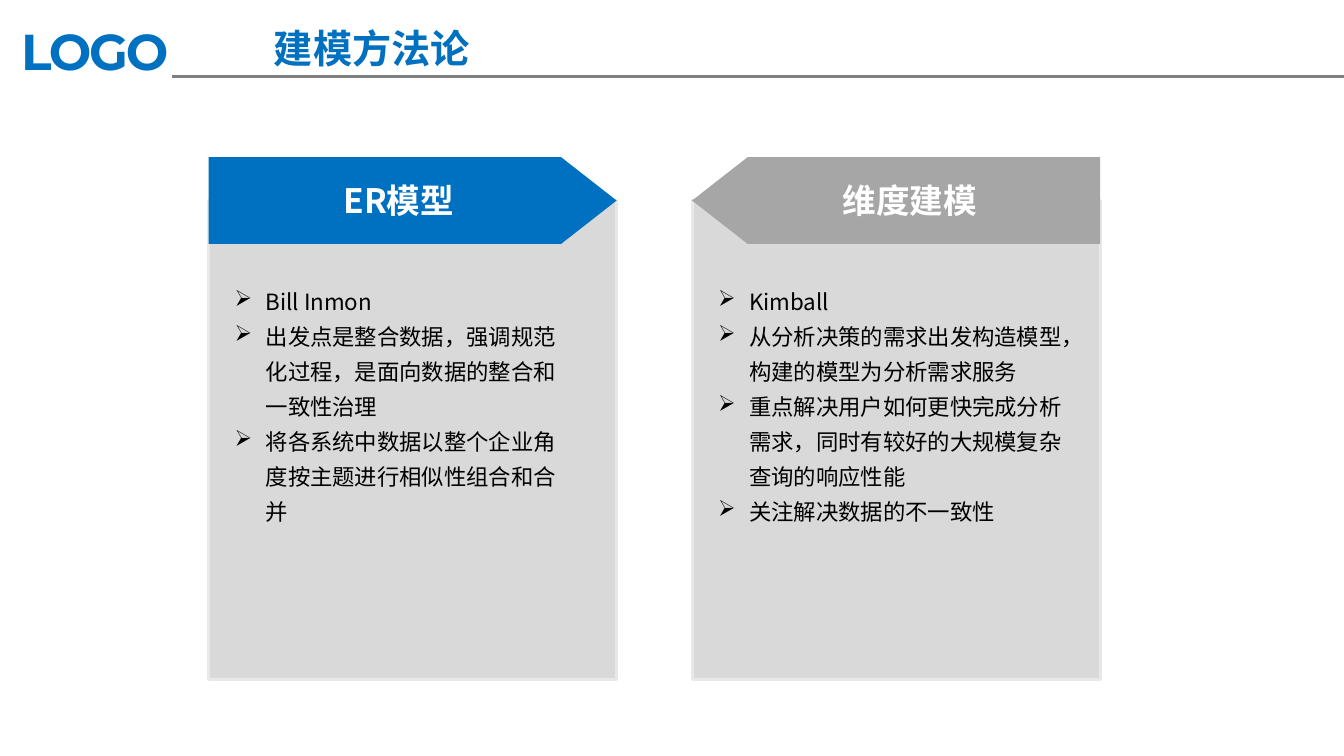
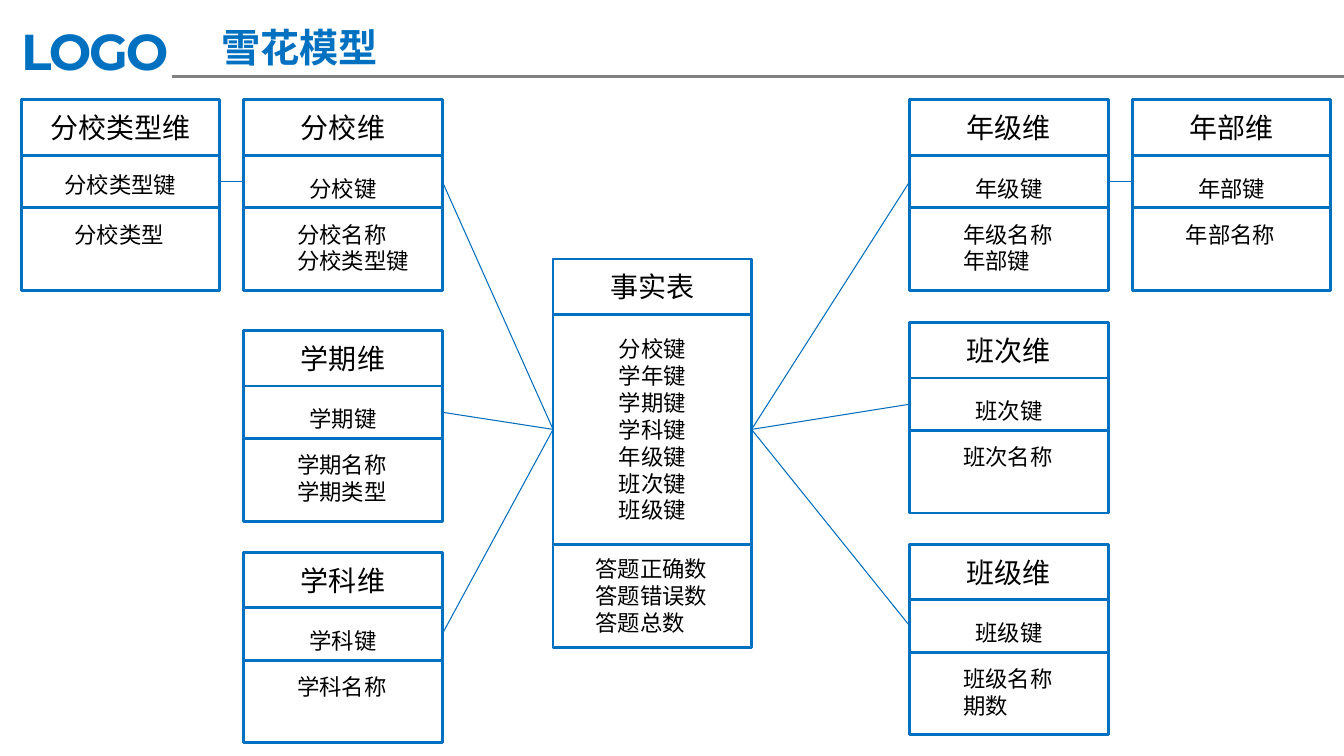
"""Build two slides on data modelling methods and the snowflake model."""
from lxml import etree
from pptx import Presentation, util as u
from pptx.dml.color import RGBColor
from pptx.enum import shapes, text
from pptx.oxml import ns

EMU_PER_PX = 9144
RECT = shapes.MSO_SHAPE.RECTANGLE
ARROW = shapes.MSO_SHAPE.PENTAGON
LEFT, CENTER = text.PP_ALIGN.LEFT, text.PP_ALIGN.CENTER
TOP, MIDDLE, BOTTOM = (text.MSO_ANCHOR.TOP, text.MSO_ANCHOR.MIDDLE,
                       text.MSO_ANCHOR.BOTTOM)


def px(n):
    """Turn px into EMU."""
    return u.Emu(n * EMU_PER_PX)


def color(value):
    """Turn a hex string into a colour."""
    return RGBColor.from_string(value)


class Deck:
    """Hold the style and the current slide."""

    FONT, LOGO_FONT = "Noto Sans CJK SC", "Montserrat"
    BLUE, LINK, GRAY, RULE = "0070C0", "006EBC", "A6A6A6", "808080"
    PANEL, EDGE, BLACK, WHITE = "D9D9D9", "E8E8E6", "000000", "FFFFFF"
    WIDTH, HEIGHT = 1334, 750
    BOX_W = 197
    HEAD_H, KEY_H, FIELD_H = 55, 52, 82

    def __init__(self):
        """Start an empty presentation."""
        self.prs = Presentation()
        self.prs.slide_width, self.prs.slide_height = px(self.WIDTH), px(self.HEIGHT)
        self.s = None

    def slide(self, title, x, y, align=LEFT):
        """Add a slide with logo text, rule and title."""
        self.s = self.prs.slides.add_slide(self.prs.slide_layouts[6])
        logo = self.textbox(8, 13, 186, 74, ["LOGO"], 36, self.BLUE, bold=True,
                            font=self.LOGO_FONT, inset=(13, 7, 13, 7))
        logo.text_frame.paragraphs[0].runs[0].font._element.set("spc", "-150")
        self.line(self.RULE, 2, (171, 76), (self.WIDTH, 76))
        self.textbox(x, y, 360, 57, [title], 28, self.BLUE, bold=True, align=align)

    def put_text(self, sp, lines, size, ink, bold=False, font=FONT, align=LEFT,
                 anchor=TOP, inset=(10, 5, 10, 5), bullet=None):
        """Fill a shape with one paragraph per line."""
        tf = sp.text_frame
        tf.word_wrap = True
        tf.vertical_anchor = anchor
        tf.margin_left, tf.margin_top, tf.margin_right, tf.margin_bottom = map(px, inset)
        for i, line in enumerate(lines):
            p = tf.add_paragraph() if i else tf.paragraphs[0]
            p.alignment = align
            if bullet:
                self.bullet(p, bullet)
            r = p.add_run()
            r.text = line
            r.font.size, r.font.bold = u.Pt(size), bold
            r.font.color.rgb = color(ink)
            r.font.name = font
            etree.SubElement(r.font._element, ns.qn("a:ea")).set("typeface", font)

    def bullet(self, p, char):
        """Give a paragraph a hanging bullet."""
        p.line_spacing = 1.3
        pPr = p._p.get_or_add_pPr()
        pPr.set("marL", str(px(31)))
        pPr.set("indent", str(px(-31)))
        etree.SubElement(pPr, ns.qn("a:buChar")).set("char", char)

    def textbox(self, x, y, w, h, lines, size, ink, **style):
        """Add a text box."""
        sp = self.s.shapes.add_textbox(px(x), px(y), px(w), px(h))
        self.put_text(sp, lines, size, ink, **style)
        return sp

    def shape(self, kind, x, y, w, h, fill=None, edge=None):
        """Add a preset shape."""
        sp = self.s.shapes.add_shape(kind, px(x), px(y), px(w), px(h))
        sp.shadow.inherit = False
        if fill:
            sp.fill.solid()
            sp.fill.fore_color.rgb = color(fill)
        else:
            sp.fill.background()
        if edge:
            sp.line.color.rgb = color(edge)
            sp.line.width = u.Pt(2)
        else:
            sp.line.fill.background()
        return sp

    def line(self, ink, width, start=(0, 0), end=(0, 0)):
        """Add a straight line."""
        ln = self.s.shapes.add_connector(shapes.MSO_CONNECTOR.STRAIGHT,
                                         *map(px, start + end))
        ln.line.color.rgb = color(ink)
        ln.line.width = u.Pt(width)
        etree.SubElement(ln._element.spPr, ns.qn("a:effectLst"))
        return ln

    def link(self, left, right):
        """Join the right side of one box to the left side of another."""
        ln = self.line(self.LINK, 0.75)
        ln.begin_connect(left, 3)
        ln.end_connect(right, 1)

    def panel(self, x, heading, fill, points, text_w, flip=False):
        """Add a panel with an arrow heading and bullet points."""
        self.shape(RECT, x, 199, 405, 475, self.PANEL, self.EDGE)
        sp = self.shape(ARROW, x, 156, 405, 86, fill)
        sp.adjustments[0] = 0.64
        if flip:
            sp._element.spPr.find(ns.qn("a:xfrm")).set("flipH", "1")
        self.put_text(sp, [heading], 24, self.WHITE, bold=True, align=CENTER,
                      anchor=MIDDLE)
        self.textbox(x + 16, 273, text_w, 290, points, 16, self.BLACK, bullet="➢")

    def entity(self, x, y, name, keys, fields, key_h=KEY_H, field_h=FIELD_H,
               key_anchor=BOTTOM, key_gap=6, field_inset=(53, 13, 0, 5)):
        """Add a three-row entity and return its key row."""
        rows = (
            (self.HEAD_H, [name], 20, dict(align=CENTER, anchor=MIDDLE)),
            (key_h, keys, 16, dict(align=CENTER, anchor=key_anchor,
                                   inset=(10, 5, 10, key_gap))),
            (field_h, fields, 16, dict(inset=field_inset)),
        )
        boxes = []
        for h, lines, size, style in rows:
            sp = self.shape(RECT, x, y, self.BOX_W, h, edge=self.BLUE)
            self.put_text(sp, lines, size, self.BLACK, **style)
            boxes.append(sp)
            y += h
        return boxes[1]


def methods(d):
    """Build the slide that compares two modelling methods."""
    d.slide("建模方法论", 189, 19, CENTER)
    d.panel(207, "ER模型", d.BLUE, [
        "Bill Inmon",
        "出发点是整合数据，强调规范化过程，是面向数据的整合和一致性治理",
        "将各系统中数据以整个企业角度按主题进行相似性组合和合并",
    ], 350)
    d.panel(687, "维度建模", d.GRAY, [
        "Kimball",
        "从分析决策的需求出发构造模型，构建的模型为分析需求服务",
        "重点解决用户如何更快完成分析需求，同时有较好的大规模复杂查询的响应性能",
        "关注解决数据的不一致性",
    ], 373, flip=True)


def snowflake(d):
    """Build the snowflake model slide."""
    d.slide("雪花模型", 210, 18)
    fact = d.entity(
        549, 257, "事实表",
        ["分校键", "学年键", "学期键", "学科键", "年级键", "班次键", "班级键"],
        ["答题正确数", "答题错误数", "答题总数"],
        key_h=228, field_h=102, key_anchor=MIDDLE, key_gap=5,
        field_inset=(42, 11, 0, 5))
    left = [d.entity(242, y, name, [key], fields) for y, name, key, fields in (
        (99, "分校维", "分校键", ["分校名称", "分校类型键"]),
        (328, "学期维", "学期键", ["学期名称", "学期类型"]),
        (548, "学科维", "学科键", ["学科名称"]))]
    right = [d.entity(903, y, name, [key], fields) for y, name, key, fields in (
        (99, "年级维", "年级键", ["年级名称", "年部键"]),
        (320, "班次维", "班次键", ["班次名称"]),
        (540, "班级维", "班级键", ["班级名称", "期数"]))]
    campus_type = d.entity(21, 99, "分校类型维", ["分校类型键"], ["分校类型"], key_gap=10)
    division = d.entity(1124, 99, "年部维", ["年部键"], ["年部名称"])
    for box in left:
        d.link(box, fact)
    for box in right:
        d.link(fact, box)
    d.link(campus_type, left[0])
    d.link(right[0], division)


def main():
    """Build and save the presentation."""
    d = Deck()
    methods(d)
    snowflake(d)
    d.prs.save("out.pptx")


if __name__ == "__main__":
    main()
